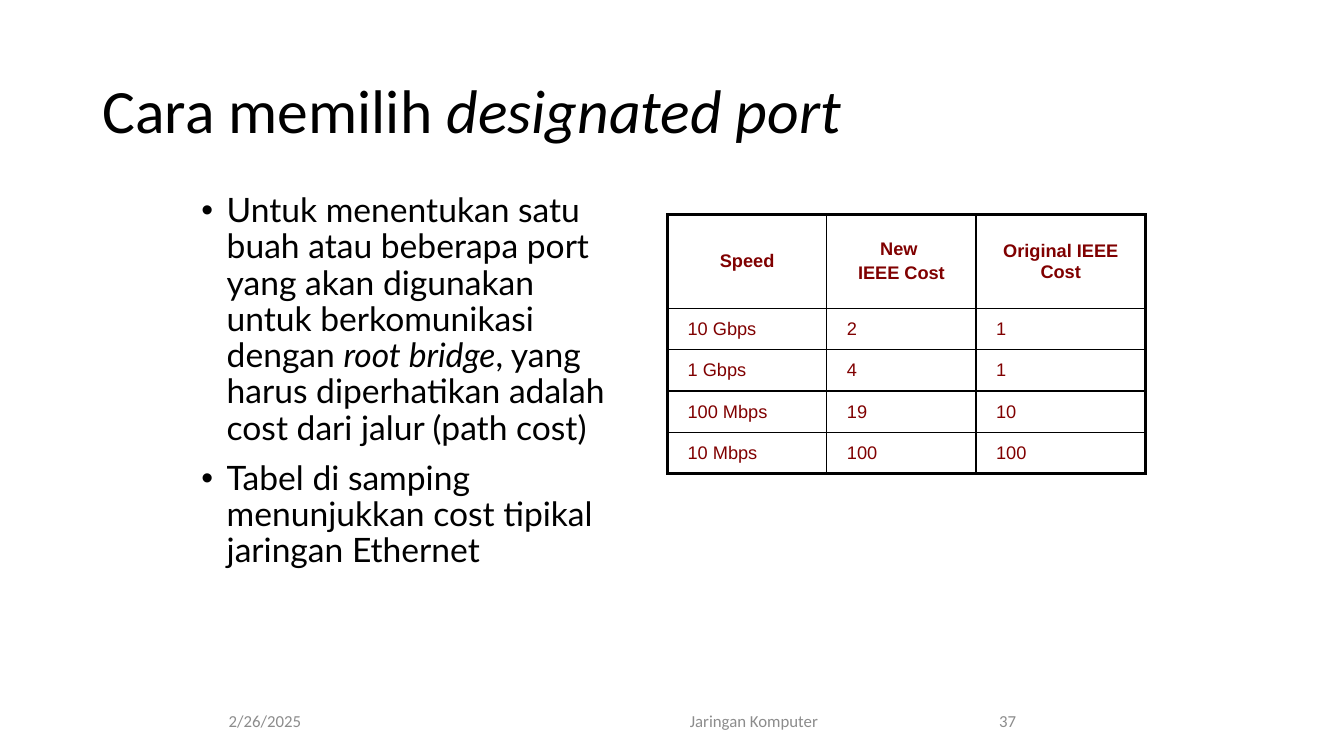
from lxml import etree
from pptx import Presentation, util as u
from pptx.dml.color import RGBColor
from pptx.enum import text as t
from pptx.oxml.ns import qn

W, H = 13.33, 7.5
HUES = {"ink": "000000", "cell": "800000", "foot": "8C8C8C"}
LEFT, MID, RIGHT = t.PP_ALIGN.LEFT, t.PP_ALIGN.CENTER, t.PP_ALIGN.RIGHT
COSTS = [
    ["Speed", "New \nIEEE Cost", "Original IEEE Cost"],
    ["10 Gbps", "2", "1"],
    ["1 Gbps", "4", "1"],
    ["100 Mbps", "19", "10"],
    ["10 Mbps", "100", "100"],
]
POINTS = (
    "Untuk menentukan satu buah atau beberapa port yang akan digunakan untuk "
    "berkomunikasi dengan *root bridge*, yang harus diperhatikan adalah cost "
    "dari jalur (path cost)\n"
    "Tabel di samping menunjukkan cost tipikal jaringan Ethernet"
)


def write(frame, words, size, font="Calibri", hue="ink", bold=False,
          align=LEFT, lead=1.0, before=0, bullet=False):
    """Fill a frame: a newline starts a paragraph, asterisks mark italics."""
    frame.word_wrap = True
    for i, line in enumerate(words.split("\n")):
        para = frame.paragraphs[0] if i == 0 else frame.add_paragraph()
        para.alignment, para.line_spacing = align, lead
        para.space_before = u.Pt(before)
        if bullet:
            props = para._p.get_or_add_pPr()
            props.set("marL", str(u.Inches(0.25)))
            props.set("indent", str(u.Inches(-0.25)))
            etree.SubElement(props, qn("a:buFont")).set("typeface", "Arial")
            etree.SubElement(props, qn("a:buChar")).set("char", "•")
        for j, part in enumerate(line.split("*")):
            run = para.add_run()
            run.text = part
            run.font.size, run.font.name = u.Pt(size), font
            run.font.bold, run.font.italic = bold, j % 2 == 1
            run.font.color.rgb = RGBColor.from_string(HUES[hue])


def label(slide, box, words, size, anchor=t.MSO_ANCHOR.MIDDLE, **form):
    frame = slide.shapes.add_textbox(*map(u.Inches, box)).text_frame
    frame.vertical_anchor = anchor
    write(frame, words, size, **form)


def edge(cell, side, width):
    line = etree.SubElement(cell._tc.get_or_add_tcPr(), qn("a:ln" + side))
    line.set("w", str(u.Pt(width)))
    fill = etree.SubElement(line, qn("a:solidFill"))
    etree.SubElement(fill, qn("a:srgbClr")).set("val", HUES["ink"])


def cost_table(slide, box, cols, rows):
    grid = slide.shapes.add_table(len(rows), len(cols), *map(u.Inches, box)).table
    grid.first_row = grid.horz_banding = False
    for col, wide in zip(grid.columns, cols):
        col.width = u.Inches(wide)
    for row, high in zip(grid.rows, rows):
        row.height = u.Inches(high)
    for r, line in enumerate(COSTS):
        for c, words in enumerate(line):
            cell = grid.cell(r, c)
            cell.margin_left = cell.margin_right = u.Inches(0.2)
            cell.margin_top = cell.margin_bottom = u.Inches(0.05)
            cell.vertical_anchor = t.MSO_ANCHOR.MIDDLE
            # Thick lines run only round the outside
            outer = {"L": c == 0, "R": c == len(cols) - 1,
                     "T": r == 0, "B": r == len(rows) - 1}
            for side, thick in outer.items():
                edge(cell, side, 2.25 if thick else 1)
            cell.fill.background()
            write(cell.text_frame, words, 13, font="Arial", hue="cell",
                  bold=r == 0, align=MID if r == 0 else LEFT, before=2.6)


def footer(slide, top, high):
    parts = [(2.17, 2.33, "2/26/2025", LEFT),
             (5.08, 3.17, "Jaringan Komputer ", RIGHT),
             (8.83, 2.33, "37", MID)]
    for left, wide, words, align in parts:
        label(slide, (left, top, wide, high), words, 12, hue="foot", align=align)


def main():
    deck = Presentation()
    deck.slide_width, deck.slide_height = u.Inches(W), u.Inches(H)
    slide = deck.slides.add_slide(deck.slide_layouts[6])
    # Title
    label(slide, (0.92, 0.4, 11.5, 1.45), "Cara memilih *designated port*", 44,
          lead=0.9)
    # Costs on the right, points on the left
    cost_table(slide, (6.62, 2.13, 4.74, 2.57), [1.58, 1.48, 1.68],
               [0.93] + [0.41] * 4)
    label(slide, (1.9, 1.87, 4.38, 5.13), POINTS, 24, t.MSO_ANCHOR.TOP,
          font="Lato", lead=0.9, before=10, bullet=True)
    # Date, course and page
    footer(slide, 6.95, 0.4)
    deck.save("out.pptx")


if __name__ == "__main__":
    main()
